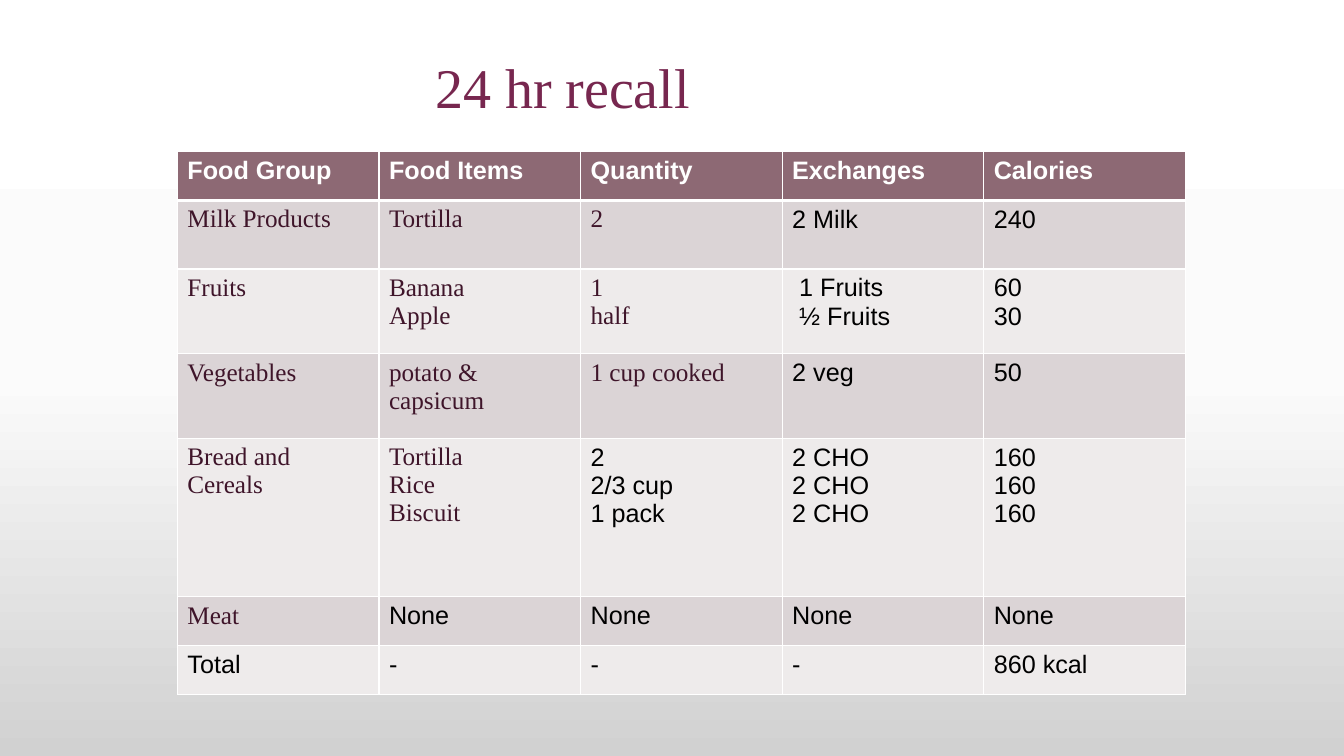
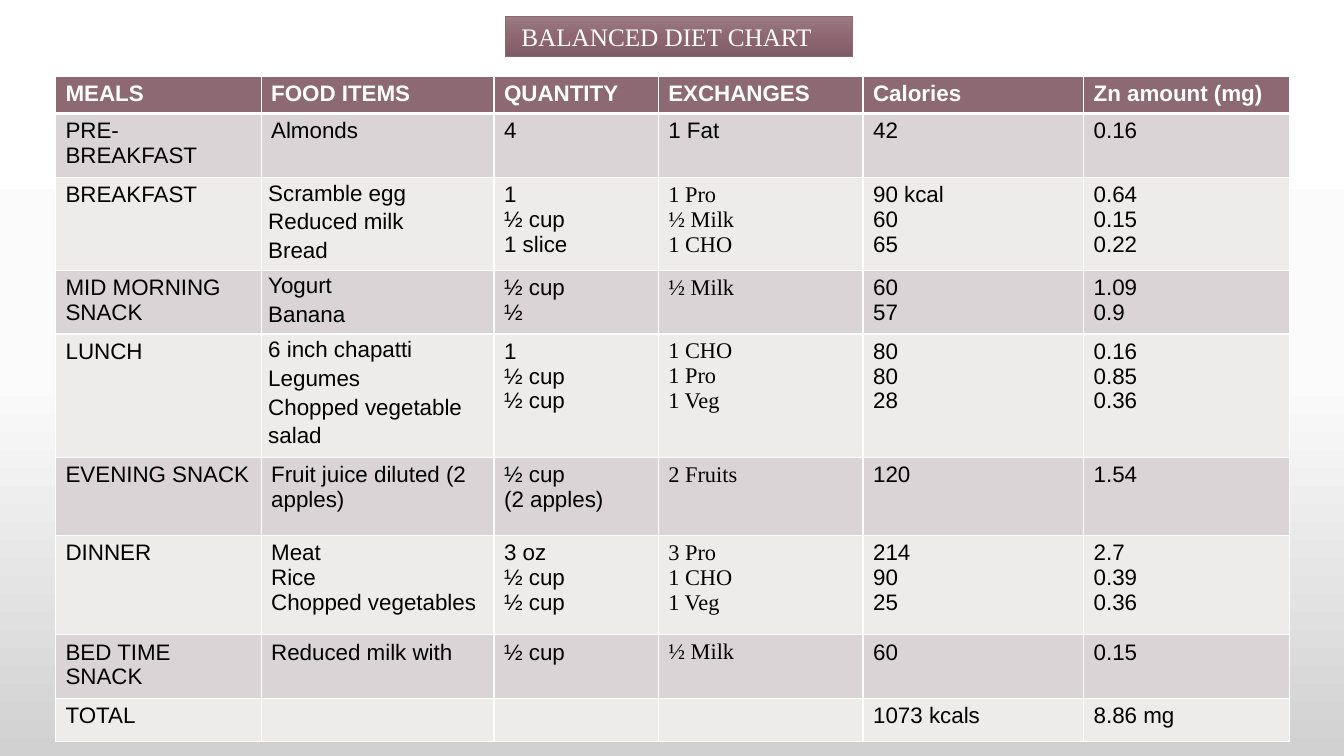
from lxml import etree
from pptx import Presentation
from pptx import util as u
from pptx.dml.color import RGBColor
from pptx.enum import shapes, text
from pptx.oxml import ns

COLORS = {
    "white": "FFFFFF", "black": "000000", "title": "77274F", "plum": "3F152A",
    "header": "8D6974", "odd": "DBD4D6", "even": "EEEBEB",
}
PAGE_GRADIENT = ["FFFFFF", "FBFBFB", "D1D1D1"]
BANNER_GRADIENT = ["9A7B84", "8F6773", "805A66"]
SANS, SERIF = "Arial", "Times New Roman"

RECALL_ROWS = [
    ["Food Group", "Food Items", "Quantity", "Exchanges", "Calories"],
    ["Milk Products", "Tortilla", "2", "2 Milk", "240"],
    ["Fruits", "Banana\nApple", "1\nhalf", " 1 Fruits\n ½ Fruits", "60\n30"],
    ["Vegetables", "potato & capsicum", "1 cup cooked", "2 veg", "50"],
    ["Bread and Cereals", "Tortilla\nRice\nBiscuit", "2\n2/3 cup\n1 pack",
     "2 CHO\n2 CHO\n2 CHO", "160\n160\n160"],
    ["Meat", "None", "None", "None", "None"],
    ["Total", "-", "-", "-", "860 kcal"],
]
RECALL_SERIF_COUNTS = [0, 3, 3, 3, 2, 1, 0]  # leading serif cells in each row

DIET_ROWS = [
    ["MEALS", "FOOD ITEMS", "QUANTITY", "EXCHANGES", "Calories", "Zn amount (mg)"],
    ["PRE- BREAKFAST", "Almonds", "4", "1 Fat", "42", "0.16"],
    ["BREAKFAST", "Scramble egg\nReduced milk\nBread", "1\n½ cup\n1 slice",
     "1 Pro\n½ Milk\n1 CHO", "90 kcal\n60\n65", "0.64\n0.15\n0.22"],
    ["MID MORNING SNACK", "Yogurt\nBanana", "½ cup\n½", "½ Milk", "60\n57", "1.09\n0.9"],
    ["LUNCH", "6 inch chapatti\nLegumes\nChopped vegetable salad", "1\n½ cup\n½ cup",
     "1 CHO\n1 Pro\n1 Veg", "80\n80\n28", "0.16\n0.85\n0.36"],
    ["EVENING SNACK", "Fruit juice diluted (2 apples)", "½ cup\n(2 apples)",
     "2 Fruits", "120", "1.54"],
    ["DINNER", "Meat\nRice\nChopped vegetables", "3 oz\n½ cup\n½ cup",
     "3 Pro\n1 CHO\n1 Veg", "214\n90\n25", "2.7\n0.39\n0.36"],
    ["BED TIME SNACK", "Reduced milk with", "½ cup", "½ Milk", "60", "0.15"],
    ["TOTAL", "", "", "", "1073 kcals", "8.86 mg"],
]


def rgb(name):
    return RGBColor.from_string(COLORS[name])


def fill_gradient(element, fill, stops):
    """Fill from top to bottom with evenly spaced colour stops."""
    fill.gradient()
    fill.gradient_angle = 270
    gs_list = next(element.iter(ns.qn("a:gsLst")))
    for gs in list(gs_list):
        gs_list.remove(gs)
    for i, color in enumerate(stops):
        gs = etree.SubElement(gs_list, ns.qn("a:gs"), pos=str(i * 100000 // (len(stops) - 1)))
        etree.SubElement(gs, ns.qn("a:srgbClr"), val=color)


def add_run(p, words, size, color, font=SANS, bold=False):
    r = p.add_run()
    r.text = words
    r.font.size = u.Pt(size)
    r.font.name = font
    r.font.bold = bold
    r.font.color.rgb = rgb(color)


def set_borders(cell, top=1, bottom=1):
    """Draw white borders, with widths in points."""
    tc_pr = cell._tc.get_or_add_tcPr()
    for side, width in {"L": 1, "R": 1, "T": top, "B": bottom}.items():
        ln = etree.SubElement(tc_pr, ns.qn(f"a:ln{side}"), w=str(u.Pt(width)))
        solid = etree.SubElement(ln, ns.qn("a:solidFill"))
        etree.SubElement(solid, ns.qn("a:srgbClr"), val=COLORS["white"])


def add_food_table(s, left, top, widths, heights, rows, size, serif, serif_color,
                   loose=()):
    """Sizes are in cm; serif(row, col) picks serif cells, loose lists widely spaced ones."""
    table = s.shapes.add_table(
        len(rows), len(widths), u.Cm(left), u.Cm(top),
        u.Cm(sum(widths)), u.Cm(sum(heights))).table
    table.horz_banding = False
    for column, width in zip(table.columns, widths):
        column.width = u.Cm(width)
    for i, (row, height) in enumerate(zip(rows, heights)):
        table.rows[i].height = u.Cm(height)
        band = "header" if i == 0 else "odd" if i % 2 else "even"
        for j, words in enumerate(row):
            cell = table.cell(i, j)
            set_borders(cell, top=3 if i == 1 else 1, bottom=3 if i == 0 else 1)
            cell.fill.solid()
            cell.fill.fore_color.rgb = rgb(band)
            if (i, j) in loose:
                cell.margin_left = cell.margin_right = u.Cm(0.18)
                cell.margin_top = cell.margin_bottom = 0
            if not words:
                continue
            tf = cell.text_frame
            for n, line in enumerate(words.split("\n")):
                p = tf.add_paragraph() if n else tf.paragraphs[0]
                if (i, j) in loose:
                    p.line_spacing = 1.15
                if i == 0:
                    add_run(p, line, size, "white", bold=True)
                elif serif(i, j):
                    add_run(p, line, size, serif_color, SERIF)
                else:
                    add_run(p, line, size, "black")


def add_title(s, left, top, width, height, words):
    tf = s.shapes.add_textbox(u.Cm(left), u.Cm(top), u.Cm(width), u.Cm(height)).text_frame
    tf.word_wrap = False
    add_run(tf.paragraphs[0], words, 40, "title", SERIF)


def add_banner(s, left, top, width, height, words):
    sp = s.shapes.add_shape(shapes.MSO_SHAPE.RECTANGLE, u.Cm(left), u.Cm(top),
                            u.Cm(width), u.Cm(height))
    sp.shadow.inherit = False
    fill_gradient(sp._element, sp.fill, BANNER_GRADIENT)
    sp.line.color.rgb = rgb("header")
    sp.line.width = u.Pt(0.5)
    tf = sp.text_frame
    tf.word_wrap = True
    tf.vertical_anchor = text.MSO_ANCHOR.MIDDLE
    p = tf.paragraphs[0]
    p.alignment = text.PP_ALIGN.LEFT
    add_run(p, words, 18, "white", SERIF)


def build_recall(s):
    add_title(s, 10.72, 1.19, 7.49, 1.9, "24 hr recall")
    add_food_table(
        s, 4.47, 3.81, [5.08] * 5, [1.24, 1.73, 2.13, 2.13, 3.99, 1.24, 1.24],
        RECALL_ROWS, 18, lambda i, j: j < RECALL_SERIF_COUNTS[i], "plum")


def build_diet_chart(s):
    add_food_table(
        s, 1.4, 1.93, [5.18, 5.87, 4.14, 5.16, 5.56, 5.18],
        [0.91, 1.6, 2.31, 1.6, 3.1, 1.96, 2.51, 1.6, 1.07],
        DIET_ROWS, 16, lambda i, j: j == 3 and i > 1, "black",
        loose=[(2, 1), (3, 1), (4, 1)])
    add_banner(s, 12.73, 0.41, 8.76, 1.02, " BALANCED DIET CHART")


def main():
    prs = Presentation()
    prs.slide_width, prs.slide_height = u.Cm(33.87), u.Cm(19.05)
    master = prs.slide_master
    fill_gradient(master._element, master.background.fill, PAGE_GRADIENT)
    for build in (build_recall, build_diet_chart):
        build(prs.slides.add_slide(prs.slide_layouts[6]))
    prs.save("out.pptx")


if __name__ == "__main__":
    main()
